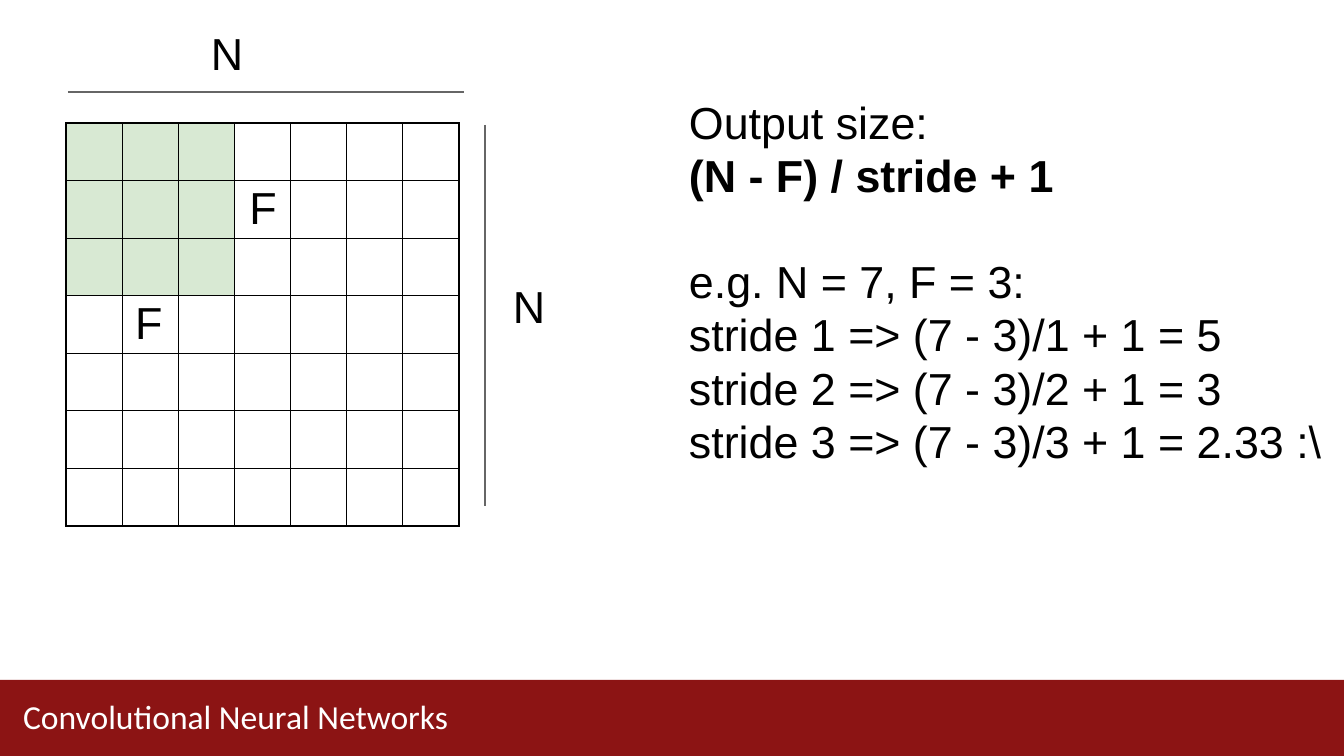
from pptx import Presentation
from pptx.dml.color import RGBColor
from pptx.enum.shapes import MSO_CONNECTOR, MSO_SHAPE
from pptx.enum.text import MSO_ANCHOR, PP_ALIGN
from pptx.oxml import parse_xml
from pptx.oxml.ns import nsdecls
from pptx.oxml.xmlchemy import OxmlElement
from pptx.util import Emu, Pt

# Content
TITLE = "Convolutional Neural Networks"
GRID_SIZE = 7
FILTER_SIZE = 3
GRID_BOX = (66, 123, 393, 403)
GRID_LABELS = {(1, 3): ("F", 15), (3, 1): ("F", 13)}  # text, left margin
DIMENSION_LINES = [(68, 92, 464, 92), (485, 125, 485, 506)]
FORMULA = "(N - F) / stride + 1"
TEXT_BOXES = [
    ((210, 23, 36, 57), ["N"]),
    ((512, 276, 36, 57), ["N"]),
    ((688, 92, 368, 110), ["Output size:", FORMULA]),
    ((688, 251, 640, 218), [
        "e.g. N = 7, F = 3:",
        "stride 1 => (7 - 3)/1 + 1 = 5",
        "stride 2 => (7 - 3)/2 + 1 = 3",
        "stride 3 => (7 - 3)/3 + 1 = 2.33 :\\",
    ]),
]
RED, GREEN, GRAY, BLACK, WHITE = "8C1414", "D8E9D3", "666666", "000000", "FFFFFF"


def px(value):
    return Emu(round(value * 914400 / 134.4))


def color(hex_string):
    return RGBColor.from_string(hex_string)


def set_margins(target, left=0, top=0):
    target.margin_left, target.margin_top = px(left), px(top)
    target.margin_right = target.margin_bottom = 0


def style(paragraph, size=24, name="Arial", hex_color=BLACK, bold=False, spacing=28.6):
    paragraph.alignment = PP_ALIGN.LEFT
    paragraph.line_spacing = Pt(spacing)
    font = paragraph.font
    font.size, font.name, font.bold = Pt(size), name, bold
    font.color.rgb = color(hex_color)


def add_borders(cell):
    properties = cell._tc.get_or_add_tcPr()
    for index, side in enumerate(("lnL", "lnR", "lnT", "lnB")):
        properties.insert(index, parse_xml(
            f'<a:{side} {nsdecls("a")} w="{Pt(0.75)}"><a:solidFill>'
            f'<a:srgbClr val="{BLACK}"/></a:solidFill></a:{side}>'))


presentation = Presentation()
presentation.slide_width, presentation.slide_height = px(1344), px(756)
slide = presentation.slides.add_slide(presentation.slide_layouts[5])
shapes = slide.shapes

# Footer bar
bar = shapes.add_shape(MSO_SHAPE.RECTANGLE, px(0), px(680), px(1344), px(76))
bar.shadow.inherit = False
bar.fill.solid()
bar.fill.fore_color.rgb = color(RED)
bar.line.fill.background()

# Title, raised above the bar
title = shapes.title
title.element.getparent().append(title.element)
title.left, title.top, title.width, title.height = map(px, (22, 697, 691, 39))
title.text_frame.text = TITLE
title.text_frame.vertical_anchor = MSO_ANCHOR.TOP
set_margins(title.text_frame, left=1)
style(title.text_frame.paragraphs[0], 18, "Calibri", WHITE, spacing=20.9)

# Input grid with the filter in its top left corner
table = shapes.add_table(GRID_SIZE, GRID_SIZE, *map(px, GRID_BOX)).table
table.first_row = table.horz_banding = False
for column in table.columns:
    column.width = px(GRID_BOX[2] / GRID_SIZE)
for row_index, row in enumerate(table.rows):
    row.height = px(GRID_BOX[3] / GRID_SIZE)
    for column_index, cell in enumerate(row.cells):
        text, left = GRID_LABELS.get((row_index, column_index), ("", 0))
        cell.text = text
        set_margins(cell, left)
        style(cell.text_frame.paragraphs[0])
        if max(row_index, column_index) < FILTER_SIZE:
            cell.fill.solid()
            cell.fill.fore_color.rgb = color(GREEN)
        else:
            cell.fill.background()
        add_borders(cell)

# Dimension lines
for ends in DIMENSION_LINES:
    line = shapes.add_connector(MSO_CONNECTOR.STRAIGHT, *map(px, ends))
    line.line.color.rgb = color(GRAY)
    line.line.width = Pt(1.5)
    line._element.spPr.append(OxmlElement("a:effectLst"))

# Dimension labels and formulas
for box, lines in TEXT_BOXES:
    frame = shapes.add_textbox(*map(px, box)).text_frame
    frame.word_wrap = True
    set_margins(frame, left=1, top=3)
    frame.text = "\n".join(lines)
    for paragraph in frame.paragraphs:
        style(paragraph, bold=paragraph.text == FORMULA)

presentation.save("out.pptx")
